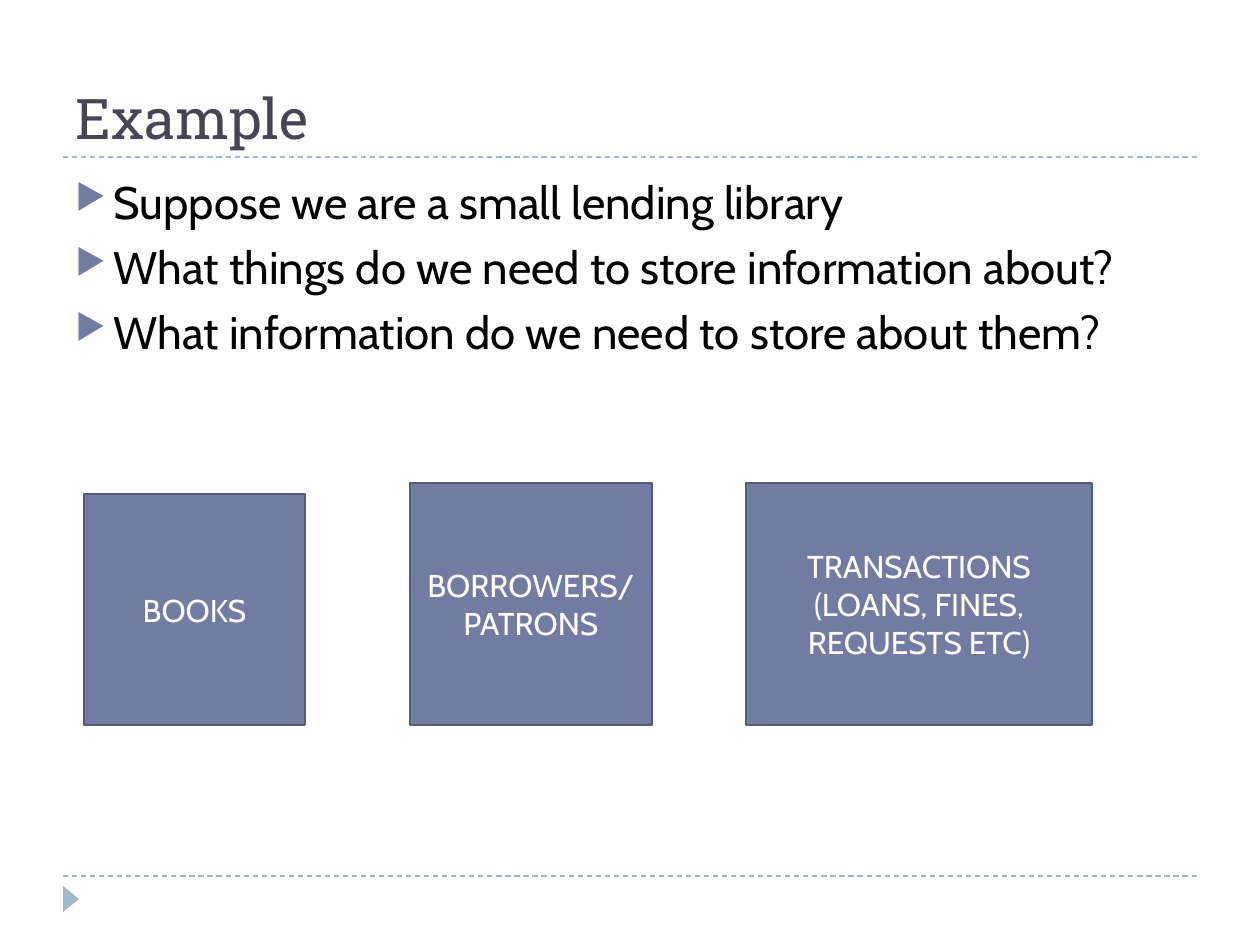
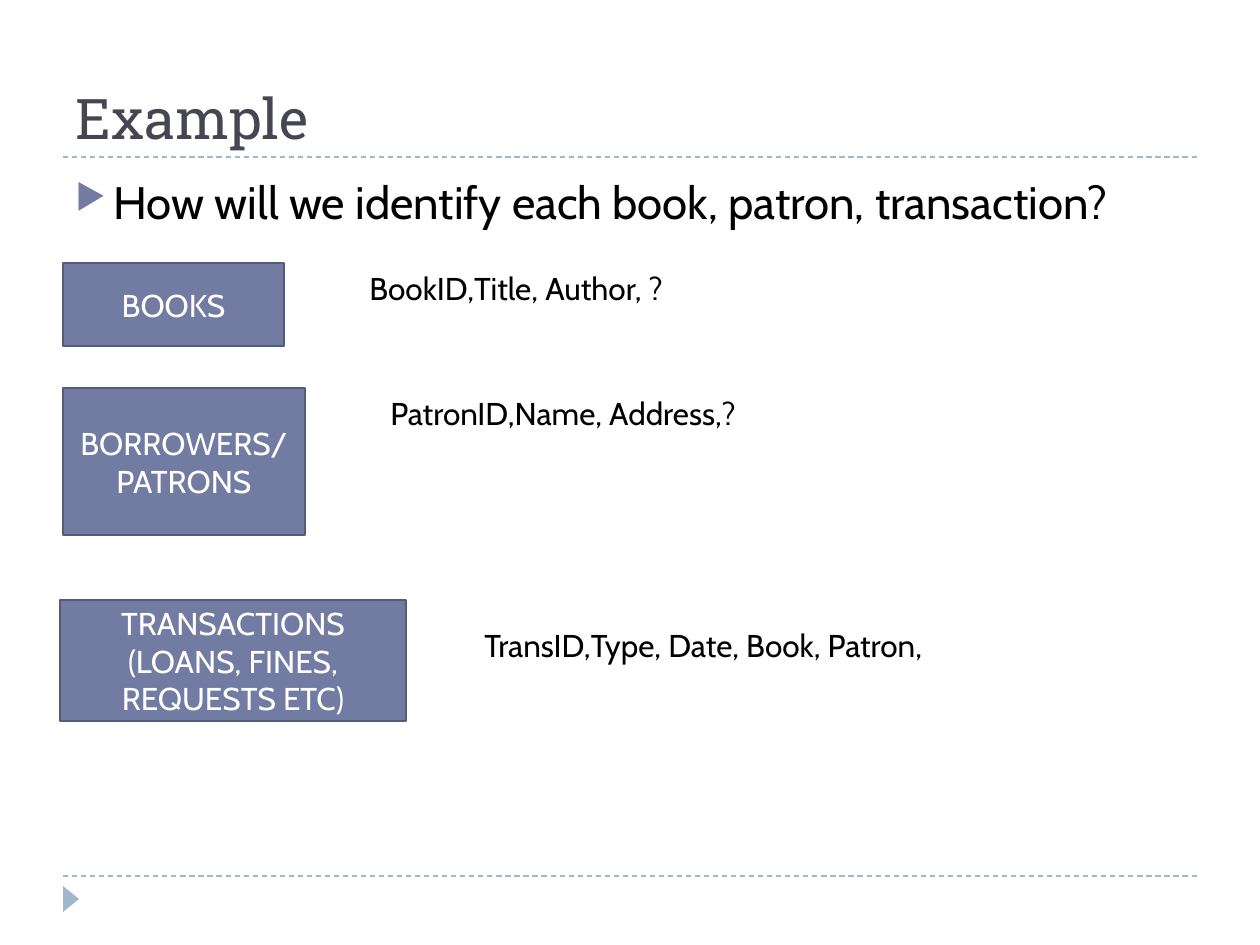
import collections
import dataclasses

import lxml.etree
import pptx
import pptx.dml.color
import pptx.enum.dml
import pptx.enum.shapes
import pptx.enum.text
import pptx.oxml.ns
import pptx.util

PX = pptx.util.Inches(1) / 126
SHAPE = pptx.enum.shapes.MSO_SHAPE
ANCHOR = pptx.enum.text.MSO_ANCHOR
ALIGN = pptx.enum.text.PP_ALIGN
FIT = pptx.enum.text.MSO_AUTO_SIZE
Box = collections.namedtuple("Box", "x y w h")


@dataclasses.dataclass(frozen=True)
class Theme:
    """Colours, fonts and sizes shared by the slides."""

    head: str = "464653"
    ink: str = "000000"
    pale: str = "FFFFFF"
    fill: str = "727CA3"
    edge: str = "545C79"
    rule: str = "9FB8CD"
    serif: str = "Roboto Slab"
    sans: str = "Cabin"
    title: int = 32
    body: int = 26
    label: int = 18


THEME = Theme()
PAGE = Box(0, 0, 1260, 945)
TITLE = Box(63, 21, 1134, 136)
BODY = Box(63, 168, 1134, 680)

NAMES = {
    "books": ["BOOKS"],
    "patrons": ["BORROWERS/", "PATRONS"],
    "loans": ["TRANSACTIONS", "(LOANS, FINES, REQUESTS ETC)"],
}
WIDTHS = {"books": 221, "patrons": 242, "loans": 346}


def emu(*vals):
    """Turn pixels into whole EMU."""
    return [round(val * PX) for val in vals]


def rgb(code):
    """Make a colour from its hex code."""
    return pptx.dml.color.RGBColor.from_string(code)


def apply(item, **vals):
    """Set each named value on the item."""
    for name, val in vals.items():
        setattr(item, name, val)


def place(shape, box):
    """Move and size a shape to the box."""
    apply(shape, **dict(zip(("left", "top", "width", "height"), emu(*box))))


def write(shape, lines, size, tint, font=THEME.sans, align=ALIGN.LEFT,
          anchor=ANCHOR.TOP, fit=FIT.NONE):
    """Write one paragraph per line in a shared style."""
    frame = shape.text_frame
    frame.text = "\n".join(lines)
    apply(frame, word_wrap=True, auto_size=fit, vertical_anchor=anchor)
    for para in frame.paragraphs:
        para.alignment = align
        for run in para.runs:
            apply(run.font, name=font, size=pptx.util.Pt(size), bold=False)
            run.font.color.rgb = rgb(tint)
    return frame


def paint(shape, fill, edge=None):
    """Give a shape flat colours and no shadow."""
    shape.shadow.inherit = False
    shape.fill.solid()
    shape.fill.fore_color.rgb = rgb(fill)
    if edge:
        shape.line.color.rgb = rgb(edge)
        shape.line.width = pptx.util.Pt(1.5)
    else:
        shape.line.fill.background()


def child(node, tag, **vals):
    """Add a drawing element with attributes."""
    return lxml.etree.SubElement(node, pptx.oxml.ns.qn(tag), **vals)


def draw_rule(slide, left, top, width):
    """Draw a dashed level rule."""
    line = slide.shapes.add_connector(
        pptx.enum.shapes.MSO_CONNECTOR.STRAIGHT,
        *emu(left, top, left + width, top))
    line.line.color.rgb = rgb(THEME.rule)
    apply(line.line, width=pptx.util.Pt(0.75),
          dash_style=pptx.enum.dml.MSO_LINE.DASH)
    child(line._element.spPr, "a:effectLst")


def draw_frame(slide, box):
    """Draw the two rules and the corner mark of a page."""
    left, width = box.x + 63, box.w - 126
    for top in (box.h - 69, 157):
        draw_rule(slide, left, box.y + top, width)
    mark = slide.shapes.add_shape(
        SHAPE.ISOSCELES_TRIANGLE,
        *emu(left - 5, box.y + box.h - 54, 26, 16))
    mark.rotation = 90
    paint(mark, THEME.rule)


def draw_title(slide, box, text):
    """Place and style the title."""
    place(slide.shapes.title, box)
    write(slide.shapes.title, [text], THEME.title, THEME.head,
          font=THEME.serif, anchor=ANCHOR.BOTTOM)


def draw_list(slide, box, lines):
    """Write a list with triangle bullets."""
    shape = slide.shapes.add_textbox(*emu(*box))
    frame = write(shape, lines, THEME.body, THEME.ink)
    dent = emu(38)[0]
    for para in frame.paragraphs:
        para.space_before = pptx.util.Pt(6)
        props = para._p.get_or_add_pPr()
        props.set("marL", str(dent))
        props.set("indent", str(-dent))
        child(child(props, "a:buClr"), "a:srgbClr", val=THEME.fill)
        child(props, "a:buSzPct", val="76000")
        child(props, "a:buChar", char="\u25b6")


def draw_card(shapes, box, name):
    """Draw a named block with a centred label."""
    card = shapes.add_shape(SHAPE.RECTANGLE, *emu(*box))
    paint(card, THEME.fill, THEME.edge)
    write(card, NAMES[name], THEME.label, THEME.pale,
          align=ALIGN.CENTER, anchor=ANCHOR.MIDDLE)


def draw_row(slide, box, cards):
    """Draw a group of cards standing on the foot of the box."""
    group = slide.shapes.add_group_shape()
    for name, left, high in cards:
        spot = Box(box.x + left, box.y + box.h - high, WIDTHS[name], high)
        draw_card(group.shapes, spot, name)


def draw_pair(slide, box, name, text, left, drop, width):
    """Draw a card with its fields beside it."""
    draw_card(slide.shapes, box, name)
    note = slide.shapes.add_textbox(
        *emu(box.x + left, box.y + drop, width, 51))
    write(note, [text], THEME.label, THEME.ink, fit=FIT.SHAPE_TO_FIT_TEXT)


def add_page(deck, lines):
    """Add a page with its frame, title and list."""
    slide = deck.slides.add_slide(deck.slide_layouts.get_by_name("Title Only"))
    draw_frame(slide, PAGE)
    draw_title(slide, TITLE, "Example")
    draw_list(slide, BODY, lines)
    return slide


def main():
    """Build and save the deck."""
    deck = pptx.Presentation()
    apply(deck, **dict(zip(("slide_width", "slide_height"),
                           emu(PAGE.w, PAGE.h))))

    things = add_page(deck, [
        "Suppose we are a small lending library",
        "What things do we need to store information about?",
        "What information do we need to store about them?",
    ])
    draw_row(things, Box(84, 483, 1008, 242), [
        ("books", 0, 231), ("patrons", 326, 242), ("loans", 662, 242)])

    keys = add_page(deck, [
        "How will we identify each book, patron, transaction?"])
    for name, x, y, high, text, left, drop, width in (
        ("books", 63, 263, 83, "BookID,Title, Author, ?", 294, 0, 829),
        ("patrons", 63, 388, 147, "PatronID,Name, Address,?", 315, 0, 693),
        ("loans", 60, 600, 121, "TransID,Type, Date, Book, Patron,",
         412, 20, 693),
    ):
        draw_pair(keys, Box(x, y, WIDTHS[name], high), name, text,
                  left, drop, width)

    deck.save("out.pptx")


main()
